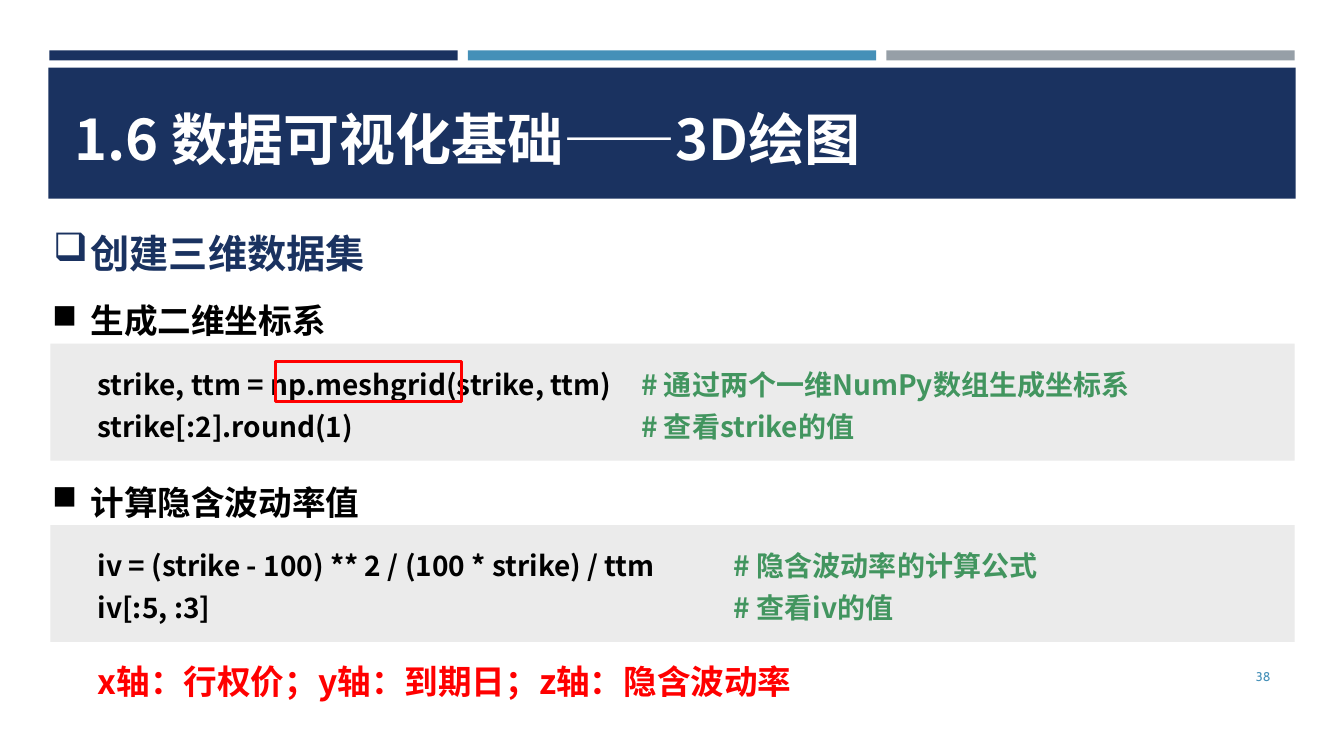
from lxml import etree
from pptx import Presentation
from pptx.dml.color import RGBColor
from pptx.enum.shapes import MSO_SHAPE
from pptx.enum.text import MSO_ANCHOR, MSO_AUTO_SIZE, PP_ALIGN
from pptx.oxml.ns import qn
from pptx.util import Inches, Pt

NAVY = RGBColor(0x1A, 0x32, 0x60)
BLUE = RGBColor(0x45, 0x90, 0xB8)
GRAY = RGBColor(0x96, 0x9F, 0xA7)
PANEL = RGBColor(0xEB, 0xEB, 0xEB)
GREEN = RGBColor(0x42, 0x95, 0x5F)
RED = RGBColor(0xFF, 0, 0)
BLACK = RGBColor(0, 0, 0)
WHITE = RGBColor(0xFF, 0xFF, 0xFF)
FONT = "Noto Sans CJK SC"

TITLE = "1.6 数据可视化基础——3D绘图"
TOPIC = "创建三维数据集"
AXES = "x轴：行权价；y轴：到期日；z轴：隐含波动率"
PAGE = "38"
STEPS = [
    {"top": 2.73, "head": "生成二维坐标系", "note_left": 6.26, "note_width": 7.23,
     "code": ["strike, ttm = np.meshgrid(strike, ttm)", "strike[:2].round(1)"],
     "notes": ["# 通过两个一维NumPy数组生成坐标系", "# 查看strike的值"]},
    {"top": 4.53, "head": "计算隐含波动率值", "note_left": 7.18, "note_width": 5.09,
     "code": ["iv = (strike - 100) ** 2 / (100 * strike) / ttm", "iv[:5, :3]"],
     "notes": ["# 隐含波动率的计算公式", "# 查看iv的值"]},
]


def write(sp, lines, size, color, bold=True, font=FONT, align=PP_ALIGN.LEFT,
          anchor=MSO_ANCHOR.TOP, spacing=None, after=None, bullet=None, indent=0):
    tf = sp.text_frame
    tf.word_wrap = True
    tf.auto_size = MSO_AUTO_SIZE.NONE
    tf.vertical_anchor = anchor
    for i, line in enumerate(lines):
        p = tf.paragraphs[0] if i == 0 else tf.add_paragraph()
        p.alignment = align
        if spacing:
            p.line_spacing = spacing
        if after:
            p.space_after = Pt(after)
        if bullet:
            pPr = p._p.get_or_add_pPr()
            pPr.set("marL", str(Inches(indent)))
            pPr.set("indent", str(-Inches(indent)))
            etree.SubElement(pPr, qn("a:buChar")).set("char", bullet)
        r = p.add_run()
        r.text = line
        r.font.size = Pt(size)
        r.font.bold = bold
        r.font.color.rgb = color
        r.font.name = font
        etree.SubElement(r._r.get_or_add_rPr(), qn("a:ea")).set("typeface", font)


def text(shapes, box, lines, size, color, **fmt):
    sp = shapes.add_textbox(*map(Inches, box))
    write(sp, lines, size, color, **fmt)


def rect(shapes, box, fill=None, line=None):
    sp = shapes.add_shape(MSO_SHAPE.RECTANGLE, *map(Inches, box))
    sp.shadow.inherit = False
    if fill is None:
        sp.fill.background()
    else:
        sp.fill.solid()
        sp.fill.fore_color.rgb = fill
    if line is None:
        sp.line.fill.background()
    else:
        sp.line.color.rgb = line
        sp.line.width = Pt(2)


def main():
    prs = Presentation()
    prs.slide_width, prs.slide_height = Inches(13.33), Inches(7.5)
    s = prs.slides.add_slide(prs.slide_layouts[5])

    for i, color in enumerate([NAVY, BLUE, GRAY]):
        rect(s.shapes, (0.49 + 4.15 * i, 0.5, 4.05, 0.1), color)
    rect(s.shapes, (0.48, 0.67, 12.37, 1.3), NAVY)

    title = s.shapes.title
    title.left, title.top, title.width, title.height = map(Inches, (0.64, 0.99, 10.62, 0.77))
    write(title, [TITLE], 40, WHITE)
    title.element.getparent().append(title.element)

    text(s.shapes, (0.43, 1.99, 12.4, 0.72), [TOPIC], 28, NAVY,
         spacing=1.5, after=12, bullet="❑", indent=0.37)

    for step in STEPS:
        top = step["top"]
        text(s.shapes, (0.42, top, 12.73, 0.64), [step["head"]], 24, BLACK,
             spacing=1.5, bullet="■", indent=0.38)
        panel = s.shapes.add_group_shape().shapes
        rect(panel, (0.5, top + 0.68, 12.34, 1.16), PANEL)
        text(panel, (0.87, top + 0.78, 8.82, 0.9), step["code"], 20, BLACK, spacing=Pt(30))
        text(panel, (step["note_left"], top + 0.78, step["note_width"], 0.9),
             step["notes"], 20, GREEN, spacing=Pt(30))

    rect(s.shapes, (2.73, 3.59, 1.85, 0.39), line=RED)
    text(s.shapes, (0.87, 6.51, 11.09, 0.5), [AXES], 24, RED)
    text(s.shapes, (11.55, 6.51, 1.15, 0.4), [PAGE], 9, BLUE, bold=False, font="Cabin",
         align=PP_ALIGN.RIGHT, anchor=MSO_ANCHOR.MIDDLE)
    prs.save("out.pptx")


if __name__ == "__main__":
    main()
